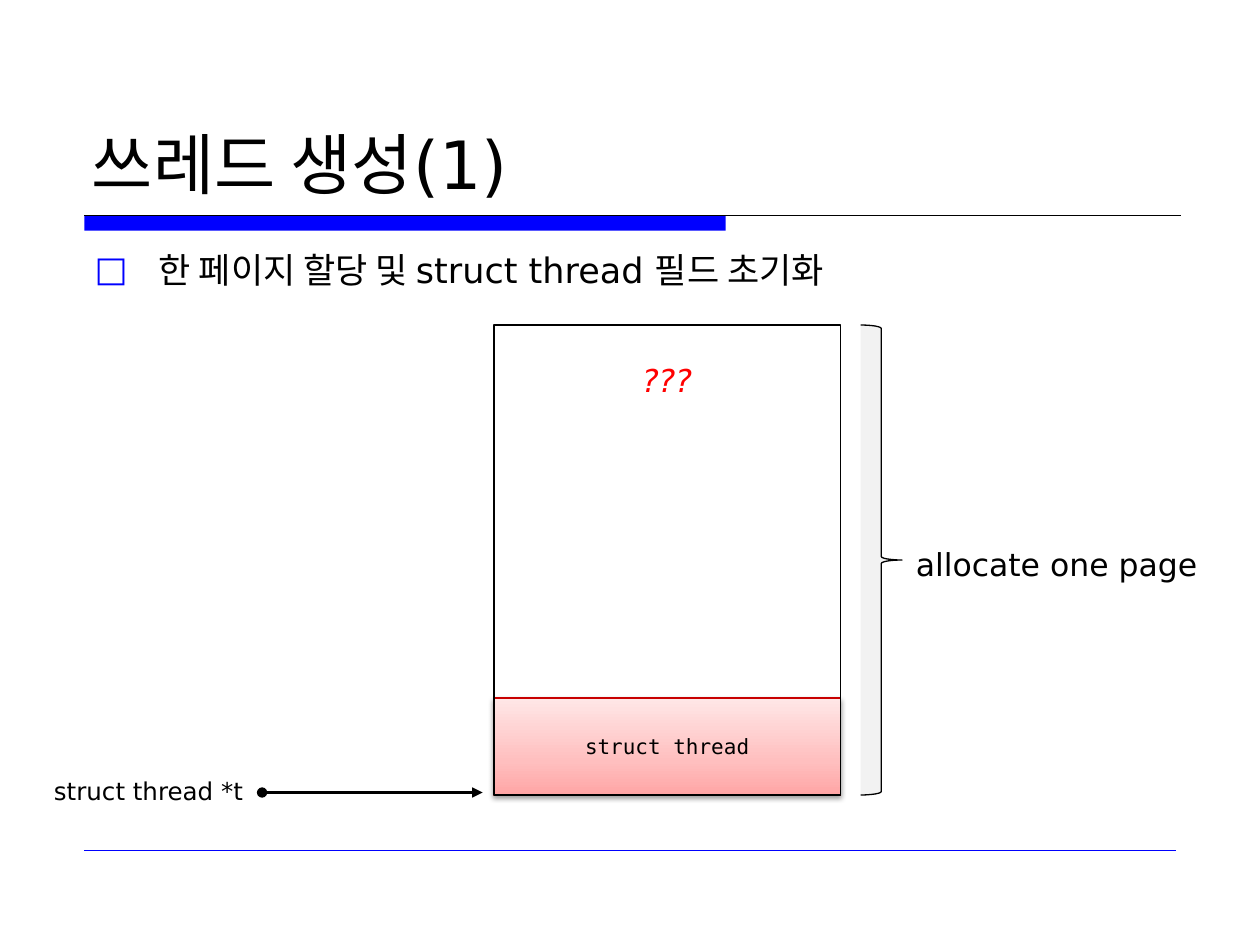
"""Build the slide on thread creation and its one-page allocation."""
from copy import deepcopy

from lxml import etree
from pptx import Presentation
from pptx.dml.color import RGBColor
from pptx.enum import shapes, text
from pptx.oxml import ns
from pptx.util import Inches, Pt


def color(value):
    """Turn a hex string into a colour."""
    return RGBColor.from_string(value)


def add_element(parent, tag, **attributes):
    """Append a drawing element to a parent and return it."""
    values = {name: str(value) for name, value in attributes.items()}
    return etree.SubElement(parent, ns.qn(tag), values)


class SlideBuilder:
    """Hold the style and the current page."""

    sans = "DejaVu Sans"
    mono = "DejaVu Sans Mono"
    black = "000000"
    blue = "0000FF"

    def __init__(self, page):
        """Keep the page to draw on."""
        self.page = page

    def set_text(self, frame, words, size, align=text.PP_ALIGN.LEFT, ink=black,
                 font=sans, italic=False):
        """Put one styled paragraph into a text frame."""
        para = frame.paragraphs[0]
        para.text = words
        para.alignment = align
        para.space_before = Pt(0)
        para.font.name = font
        para.font.size = Pt(size)
        para.font.italic = italic
        para.font.color.rgb = color(ink)

    def placeholder(self, holder, words, size, place, anchor, bullet=None):
        """Move a placeholder and fill it, with an optional bullet."""
        holder.left, holder.top, holder.width, holder.height = map(Inches, place)
        frame = holder.text_frame
        frame.auto_size = text.MSO_AUTO_SIZE.NONE
        frame.vertical_anchor = anchor
        if bullet:
            props = frame.paragraphs[0]._p.get_or_add_pPr()
            props.set("marL", str(Inches(0.51)))
            props.set("indent", str(-Inches(0.51)))
            add_element(add_element(props, "a:buClr"), "a:srgbClr", val=self.blue)
            add_element(props, "a:buFont", typeface=self.sans)
            add_element(props, "a:buChar", char=bullet)
        self.set_text(frame, words, size)

    def shape(self, kind, place, fill=None, line=None, width=0.75):
        """Draw a preset shape without a shadow."""
        item = self.page.shapes.add_shape(kind, *map(Inches, place))
        item.shadow.inherit = False
        if fill:
            item.fill.solid()
            item.fill.fore_color.rgb = color(fill)
        else:
            item.fill.background()
        if line:
            item.line.color.rgb = color(line)
            item.line.width = Pt(width)
        else:
            item.line.fill.background()
        return item

    def gradient(self, item, stops):
        """Fill a shape upwards through the given stops."""
        item.fill.gradient()
        item.fill.gradient_angle = 90
        first = item._element.spPr.find(".//" + ns.qn("a:gs"))
        first.addnext(deepcopy(first))
        for stop, (position, value) in zip(item.fill.gradient_stops, stops):
            stop.position = position
            stop.color.rgb = color(value)

    def drop_shadow(self, item):
        """Give a shape a soft shadow below it."""
        effects = item._element.spPr.find(ns.qn("a:effectLst"))
        shadow = add_element(effects, "a:outerShdw", blurRad=Pt(3.1), dist=Pt(1.6),
                             dir=5400000, rotWithShape=0)
        tint = add_element(shadow, "a:srgbClr", val=self.black)
        add_element(tint, "a:alpha", val=38000)

    def line(self, start, end, ink, width, head=None, tail=None):
        """Draw a straight line with optional end marks."""
        link = self.page.shapes.add_connector(
            shapes.MSO_CONNECTOR.STRAIGHT, *map(Inches, start + end))
        link.line.color.rgb = color(ink)
        link.line.width = Pt(width)
        outline = link._element.spPr.find(ns.qn("a:ln"))
        for tag, mark in (("a:headEnd", head), ("a:tailEnd", tail)):
            if mark:
                add_element(outline, tag, type=mark)
        add_element(link._element.spPr, "a:effectLst")

    def label(self, words, size, place, wrap=False, **style):
        """Add a text box that fits its text."""
        box = self.page.shapes.add_textbox(*map(Inches, place))
        box.text_frame.word_wrap = wrap
        box.text_frame.auto_size = text.MSO_AUTO_SIZE.SHAPE_TO_FIT_TEXT
        self.set_text(box.text_frame, words, size, **style)


def main():
    """Build and save the deck."""
    deck = Presentation()
    deck.slide_width, deck.slide_height = Inches(10), Inches(7.5)
    page = deck.slides.add_slide(deck.slide_layouts[1])
    build = SlideBuilder(page)
    rectangle = shapes.MSO_SHAPE.RECTANGLE
    center = text.PP_ALIGN.CENTER
    left, top, width, height = 3.92, 2.58, 2.75, 3.73
    struct_height = 0.77

    build.shape(rectangle, (0.67, 1.71, 5.09, 0.12), fill=build.blue)
    build.line((0.67, 1.71), (9.37, 1.71), build.black, 0.75)
    build.line((0.67, 6.75), (9.33, 6.75), build.blue, 0.25)
    build.placeholder(page.shapes.title, "쓰레드 생성(1)", 38,
                      (0.63, 0.33, 8.75, 1.33), text.MSO_ANCHOR.BOTTOM)
    build.placeholder(page.placeholders[1], "한 페이지 할당 및 struct thread 필드 초기화",
                      20, (0.65, 1.92, 8.75, 0.57), text.MSO_ANCHOR.TOP, bullet="□")

    struct = build.shape(
        rectangle, (left, top + height - struct_height, width, struct_height),
        line="C80000")
    build.gradient(struct, ((0, "FFA5A5"), (0.35, "FFBFBF"), (1, "FFE7E7")))
    build.drop_shadow(struct)
    struct.text_frame.vertical_anchor = text.MSO_ANCHOR.MIDDLE
    build.set_text(struct.text_frame, "struct thread", 12, center, font=build.mono)

    build.label("struct thread *t", 14, (0.33, 6.11, 1.75, 0.34))
    build.line((2.08, 6.29), (3.83, 6.29), build.black, 1.5, "oval", "triangle")
    build.shape(shapes.MSO_SHAPE.RIGHT_BRACE, (6.83, top, 0.33, height),
                fill="F2F2F2", line=build.black)
    build.label("allocate one page", 18, (7.17, 4.28, 2.44, 0.4))
    build.shape(rectangle, (left, top, width, height), line=build.black, width=1)
    build.label("???", 18, (4.46, 2.82, 1.67, 0.4), wrap=True, align=center,
                ink="FF0000", italic=True)
    deck.save("out.pptx")


if __name__ == "__main__":
    main()
